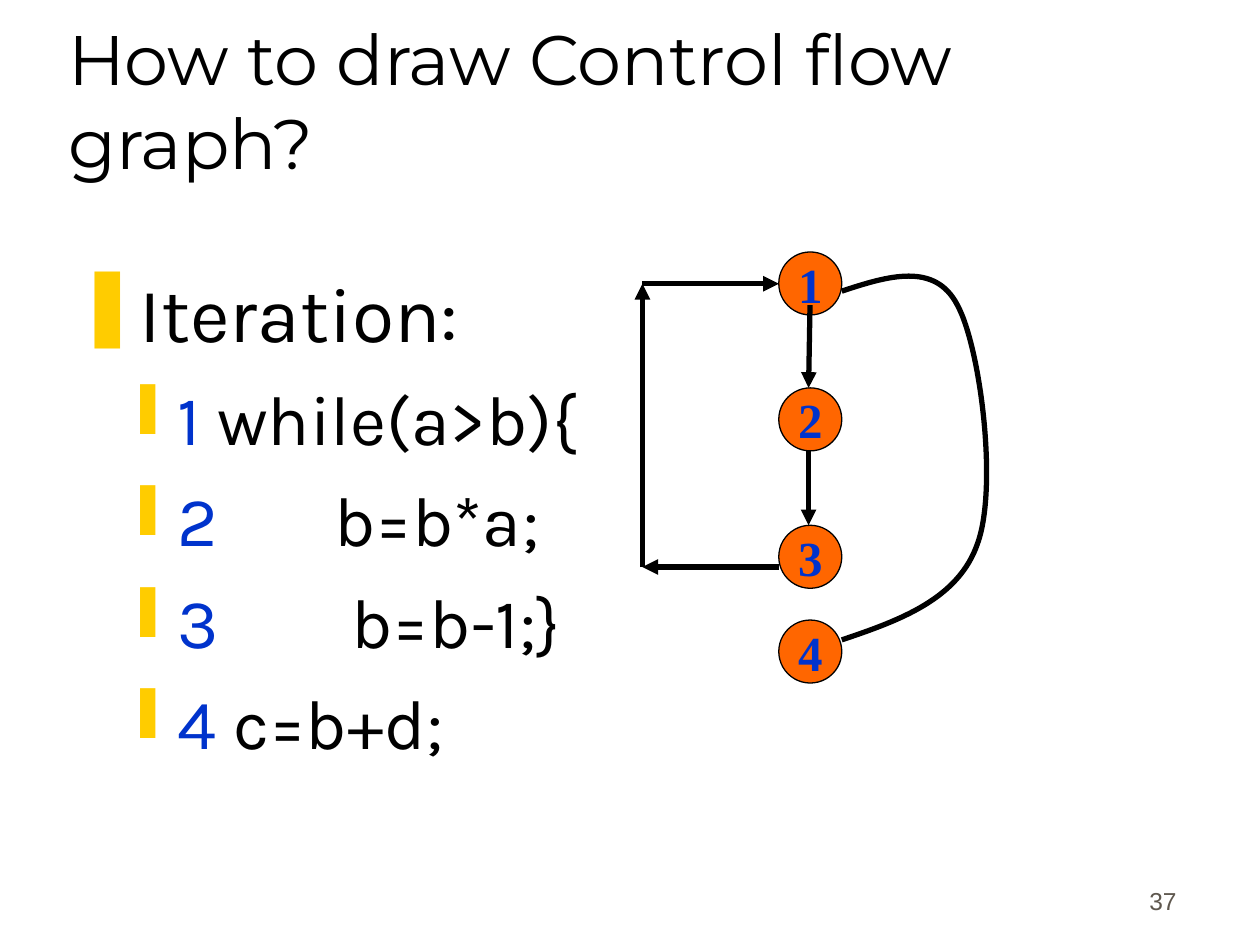
from typing import NamedTuple

from lxml.etree import SubElement
from pptx import Presentation
from pptx.dml.color import RGBColor
from pptx.enum.shapes import MSO_CONNECTOR, MSO_SHAPE
from pptx.enum.text import MSO_ANCHOR, MSO_AUTO_SIZE, PP_ALIGN
from pptx.oxml.ns import qn
from pptx.util import Cm, Pt

COLORS = {"black": "000000", "blue": "0033CC", "orange": "FF6600",
          "yellow": "FFCC00", "grey": "5E574E"}
NODE_SIZE = 1.27
NODE_LEFT = 15.7
LOOP_LEFT = 12.95


class Node(NamedTuple):
    label: str
    top: float


class Edge(NamedTuple):
    x1: float
    y1: float
    x2: float
    y2: float


class Bullet(NamedTuple):
    char: str
    level: int
    margin: float
    indent: float
    size: int
    before: int


class Line(NamedTuple):
    bullet: Bullet
    number: str
    text: str


HEAD = Bullet("❚", 0, 0.97, -0.97, 44, 0)
CODE = Bullet("❙", 1, 2.06, -0.79, 40, 10)
LINES = [
    Line(HEAD, "", "Iteration:"),
    Line(CODE, "1", " while(a>b){"),
    Line(CODE, "2", "       b=b*a;"),
    Line(CODE, "3", "        b=b-1;}"),
    Line(CODE, "4", " c=b+d;"),
]
NODES = [Node("1", 5.08), Node("2", 7.82), Node("3", 10.59), Node("4", 12.5)]
EDGES = [
    Edge(16.33, 6.15, 16.3, 7.82),
    Edge(16.3, 9.09, 16.3, 10.59),
    Edge(NODE_LEFT, 11.43, LOOP_LEFT, 11.43),
    Edge(LOOP_LEFT, 11.43, LOOP_LEFT, 5.72),
    Edge(LOOP_LEFT, 5.72, NODE_LEFT, 5.72),
]
# Start point, then two control points and an end point per segment
EXIT_CURVE = [
    (16.97, 5.87),
    (17.91, 5.56), (18.85, 5.28), (19.3, 6.15),
    (19.76, 6.99), (20.12, 9.8), (19.71, 10.95),
    (19.33, 12.07), (18.16, 12.5), (16.97, 12.9),
]


def rgb(name: str) -> RGBColor:
    return RGBColor.from_string(COLORS[name])


def set_all(obj, **values) -> None:
    for key, value in values.items():
        setattr(obj, key, value)


def add_run(p, text: str, font: str, size: int, color: str, bold: bool = False) -> None:
    r = p.add_run()
    r.text = text
    set_all(r.font, name=font, size=Pt(size), bold=bold)
    r.font.color.rgb = rgb(color)


def set_line(shape, width: float) -> None:
    shape.line.color.rgb = rgb("black")
    shape.line.width = Pt(width)


def format_bullet(p, b: Bullet) -> None:
    p.level = b.level
    p.space_before = Pt(b.before)
    ppr = p._p.get_or_add_pPr()
    ppr.set("marL", str(Cm(b.margin)))
    ppr.set("indent", str(Cm(b.indent)))
    clr = SubElement(ppr, qn("a:buClr"))
    SubElement(clr, qn("a:srgbClr"), val=COLORS["yellow"])
    SubElement(ppr, qn("a:buChar"), char=b.char)


def add_node(s, node: Node) -> None:
    sp = s.shapes.add_shape(MSO_SHAPE.OVAL, Cm(NODE_LEFT), Cm(node.top),
                            Cm(NODE_SIZE), Cm(NODE_SIZE))
    sp.shadow.inherit = False
    sp.fill.solid()
    sp.fill.fore_color.rgb = rgb("orange")
    set_line(sp, 0.75)
    tf = sp.text_frame
    set_all(tf, word_wrap=False, vertical_anchor=MSO_ANCHOR.MIDDLE)
    p = tf.paragraphs[0]
    p.alignment = PP_ALIGN.CENTER
    add_run(p, node.label, "Times New Roman", 28, "blue", True)


def add_edge(s, edge: Edge) -> None:
    sp = s.shapes.add_connector(MSO_CONNECTOR.STRAIGHT, *map(Cm, edge))
    set_line(sp, 3)
    SubElement(sp.line._get_or_add_ln(), qn("a:tailEnd"), type="triangle")
    SubElement(sp._element.spPr, qn("a:effectLst"))


def add_curve(s, points: list[tuple[float, float]]) -> None:
    start, *rest = [(Cm(x), Cm(y)) for x, y in points]
    builder = s.shapes.build_freeform(*start)
    builder.add_line_segments(rest, close=False)
    sp = builder.convert_to_shape()
    sp.shadow.inherit = False
    sp.fill.background()
    set_line(sp, 3)
    # Regroup the points by threes into cubic segments
    outline = next(sp._element.iter(qn("a:path")))
    steps = outline.findall(qn("a:lnTo"))
    for i in range(0, len(steps), 3):
        cubic = SubElement(outline, qn("a:cubicBezTo"))
        for step in steps[i:i + 3]:
            cubic.append(step[0])
            outline.remove(step)


def main() -> None:
    prs = Presentation()
    set_all(prs, slide_width=Cm(25.4), slide_height=Cm(19.05))
    s = prs.slides.add_slide(prs.slide_layouts[5])

    # Slide number
    sp = s.shapes.add_textbox(Cm(18.69), Cm(17.3), Cm(5.28), Cm(1.27))
    tf = sp.text_frame
    set_all(tf, word_wrap=True, vertical_anchor=MSO_ANCHOR.BOTTOM)
    p = tf.paragraphs[0]
    p.alignment = PP_ALIGN.RIGHT
    add_run(p, "37", "Arial", 14, "grey")

    # Title
    title = s.shapes.title
    set_all(title, left=Cm(1.12), top=Cm(0.64), width=Cm(21.59), height=Cm(3.18))
    tf = title.text_frame
    set_all(tf, word_wrap=True, auto_size=MSO_AUTO_SIZE.NONE,
            vertical_anchor=MSO_ANCHOR.BOTTOM)
    p = tf.paragraphs[0]
    p.alignment = PP_ALIGN.LEFT
    add_run(p, "How to draw Control flow graph?", "Montserrat", 40, "black")

    # Code listing
    sp = s.shapes.add_textbox(Cm(1.27), Cm(5.23), Cm(22.71), Cm(11.58))
    tf = sp.text_frame
    tf.word_wrap = True
    for i, line in enumerate(LINES):
        p = tf.add_paragraph() if i else tf.paragraphs[0]
        format_bullet(p, line.bullet)
        if line.number:
            add_run(p, line.number, "Karla", line.bullet.size, "blue")
        add_run(p, line.text, "Karla", line.bullet.size, "black")

    # Control flow graph
    for node in NODES:
        add_node(s, node)
    for edge in EDGES:
        add_edge(s, edge)
    add_curve(s, EXIT_CURVE)

    prs.save("out.pptx")


if __name__ == "__main__":
    main()
